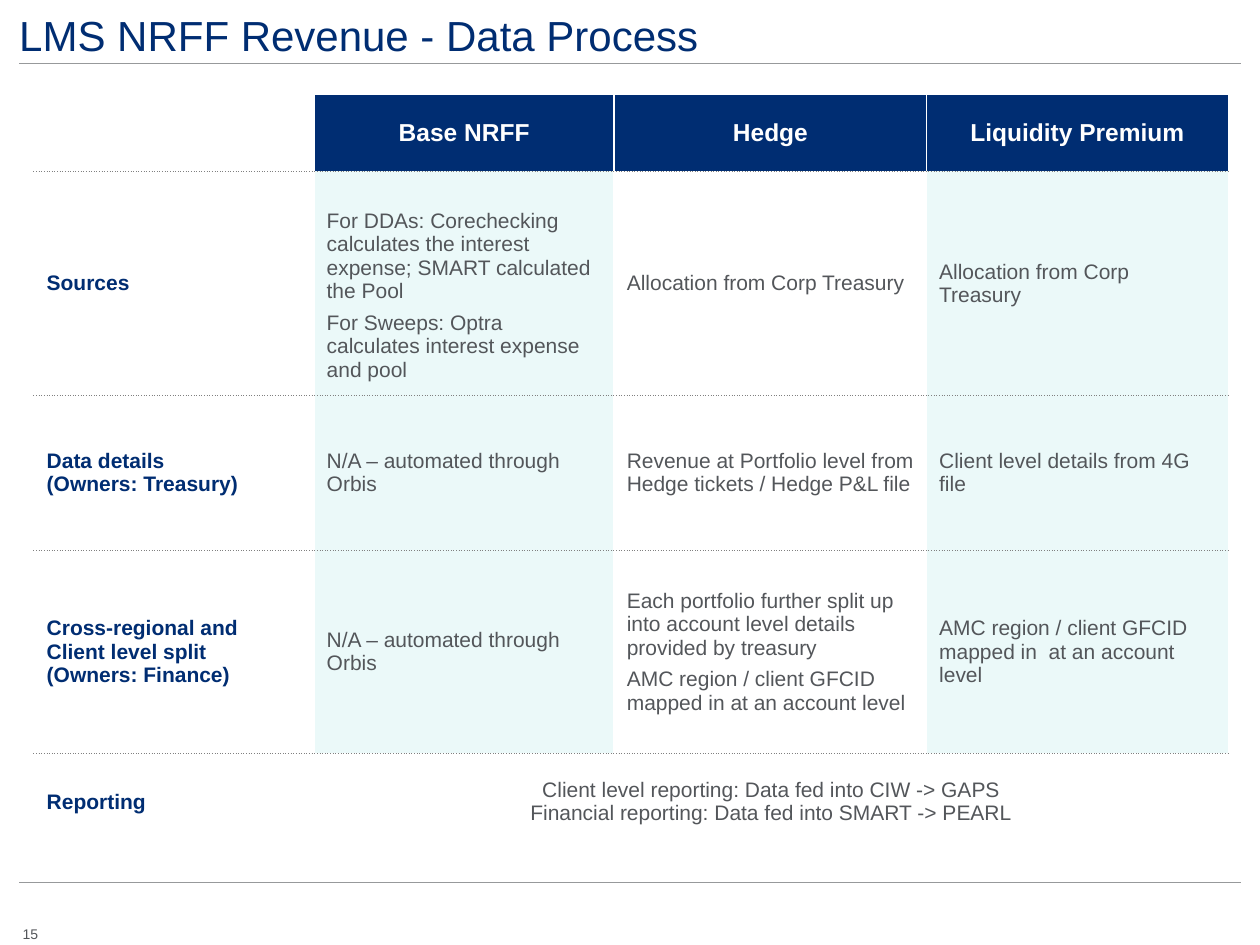
"""Build the LMS NRFF revenue data process slide."""
from lxml.etree import SubElement
from pptx import Presentation
from pptx.dml.color import RGBColor
from pptx.enum.shapes import MSO_CONNECTOR
from pptx.enum.text import MSO_ANCHOR, PP_ALIGN
from pptx.oxml import parse_xml
from pptx.oxml.ns import nsdecls, qn
from pptx.util import Pt

COLORS = {"navy": "002D72", "text": "53565A", "tint": "EBF9F9", "white": "FFFFFF",
          "rule": "97999B", "dots": "808080"}
TITLE = "LMS NRFF Revenue - Data Process"
PAGE_NUMBER = "15"
HEADERS = ["", "Base NRFF", "Hedge", "Liquidity Premium"]
ROWS = [
    (["Sources"],
     ["For DDAs: Corechecking calculates the interest expense; SMART calculated the Pool",
      "For Sweeps: Optra calculates interest expense and pool"],
     ["Allocation from Corp Treasury"],
     ["Allocation from Corp Treasury"]),
    (["Data details", "(Owners: Treasury)"],
     ["N/A – automated through Orbis"],
     ["Revenue at Portfolio level from Hedge tickets / Hedge P&L file"],
     ["Client level details from 4G file"]),
    (["Cross-regional and Client level split", "(Owners: Finance)"],
     ["N/A – automated through Orbis"],
     ["Each portfolio further split up into account level details provided by treasury",
      "AMC region / client GFCID mapped in at an account level"],
     ["AMC region / client GFCID mapped in  at an account level"]),
    (["Reporting"],
     ["Client level reporting: Data fed into CIW -> GAPS",
      "Financial reporting: Data fed into SMART -> PEARL"]),
]
COLUMN_WIDTHS = [160, 171.5, 178.5, 172.5]
ROW_HEIGHTS = [44, 128, 88.5, 116, 55.5]
RULE_HEIGHTS = [36, 504]
FORMATS = {
    "title": {"size": Pt(24), "bold": False, "color": "navy"},
    "header": {"size": Pt(14), "bold": True, "color": "white"},
    "label": {"size": Pt(12), "bold": True, "color": "navy"},
    "body": {"size": Pt(12), "bold": False, "color": "text"},
    "number": {"size": Pt(8), "bold": False, "color": "text"},
}


def rgb(name):
    return RGBColor.from_string(COLORS[name])


def write(frame, lines, style, align=PP_ALIGN.LEFT, gap=0):
    for index, line in enumerate(lines):
        paragraph = frame.paragraphs[0] if index == 0 else frame.add_paragraph()
        paragraph.alignment = align
        paragraph.space_before = Pt(gap if index else 0)
        run = paragraph.add_run()
        run.text = line
        run.font.name = "Arial"
        for name, value in FORMATS[style].items():
            if name == "color":
                run.font.color.rgb = rgb(value)
            else:
                setattr(run.font, name, value)


def add_text(slide, box, text, style, wrap):
    frame = slide.shapes.add_textbox(*map(Pt, box)).text_frame
    layout = {"margin_left": 0, "margin_top": 0, "margin_right": 0, "margin_bottom": 0,
              "word_wrap": wrap, "vertical_anchor": MSO_ANCHOR.MIDDLE}
    for name, value in layout.items():
        setattr(frame, name, value)
    write(frame, [text], style)


def set_borders(cell, top, bottom):
    properties = cell._tc.get_or_add_tcPr()
    sides = {"L": "white", "R": "white", "T": top, "B": bottom}
    for index, (side, color) in enumerate(sides.items()):
        dash = "sysDot" if color == "dots" else "solid"
        properties.insert(index, parse_xml(
            f'<a:ln{side} {nsdecls("a")} w="{Pt(1)}"><a:solidFill>'
            f'<a:srgbClr val="{COLORS[color]}"/></a:solidFill>'
            f'<a:prstDash val="{dash}"/></a:ln{side}>'))


def add_process_table(slide):
    box = (19.5, 54, sum(COLUMN_WIDTHS), sum(ROW_HEIGHTS))
    table = slide.shapes.add_table(len(ROW_HEIGHTS), len(COLUMN_WIDTHS), *map(Pt, box)).table
    table.first_row = table.horz_banding = False
    for column, width in zip(table.columns, COLUMN_WIDTHS):
        column.width = Pt(width)
    for row, height in zip(table.rows, ROW_HEIGHTS):
        row.height = Pt(height)
    last = len(ROWS)
    for row in range(last + 1):
        for column in range(len(COLUMN_WIDTHS)):
            cell = table.cell(row, column)
            fill = "white"
            if row == 0 and column:
                fill = "navy"
            elif 0 < row < last and column % 2:
                fill = "tint"
            cell.fill.solid()
            cell.fill.fore_color.rgb = rgb(fill)
            cell.vertical_anchor = MSO_ANCHOR.MIDDLE
            set_borders(cell, "dots" if row else "white", "white" if row == last else "dots")
    for column, header in enumerate(HEADERS):
        if header:
            write(table.cell(0, column).text_frame, [header], "header", PP_ALIGN.CENTER)
    for row, contents in enumerate(ROWS, 1):
        for column, lines in enumerate(contents):
            centered = row == last and column
            write(table.cell(row, column).text_frame, lines, "body" if column else "label",
                  PP_ALIGN.CENTER if centered else PP_ALIGN.LEFT,
                  4.6 if column and row < last else 0)
    table.cell(1, 1).margin_top = Pt(17.4)
    table.cell(last, 1).merge(table.cell(last, len(COLUMN_WIDTHS) - 1))


presentation = Presentation()
presentation.slide_width, presentation.slide_height = Pt(720), Pt(540)
slide = presentation.slides.add_slide(presentation.slide_layouts[6])
for height in RULE_HEIGHTS:
    rule = slide.shapes.add_connector(
        MSO_CONNECTOR.STRAIGHT, Pt(11), Pt(height), Pt(709), Pt(height))
    rule.line.color.rgb = rgb("rule")
    rule.line.width = Pt(0.5)
    SubElement(rule._element.spPr, qn("a:effectLst"))
add_process_table(slide)
add_text(slide, (11, 5, 698, 29.5), TITLE, "title", True)
add_text(slide, (13, 529, 9, 9.5), PAGE_NUMBER, "number", False)
presentation.save("out.pptx")
